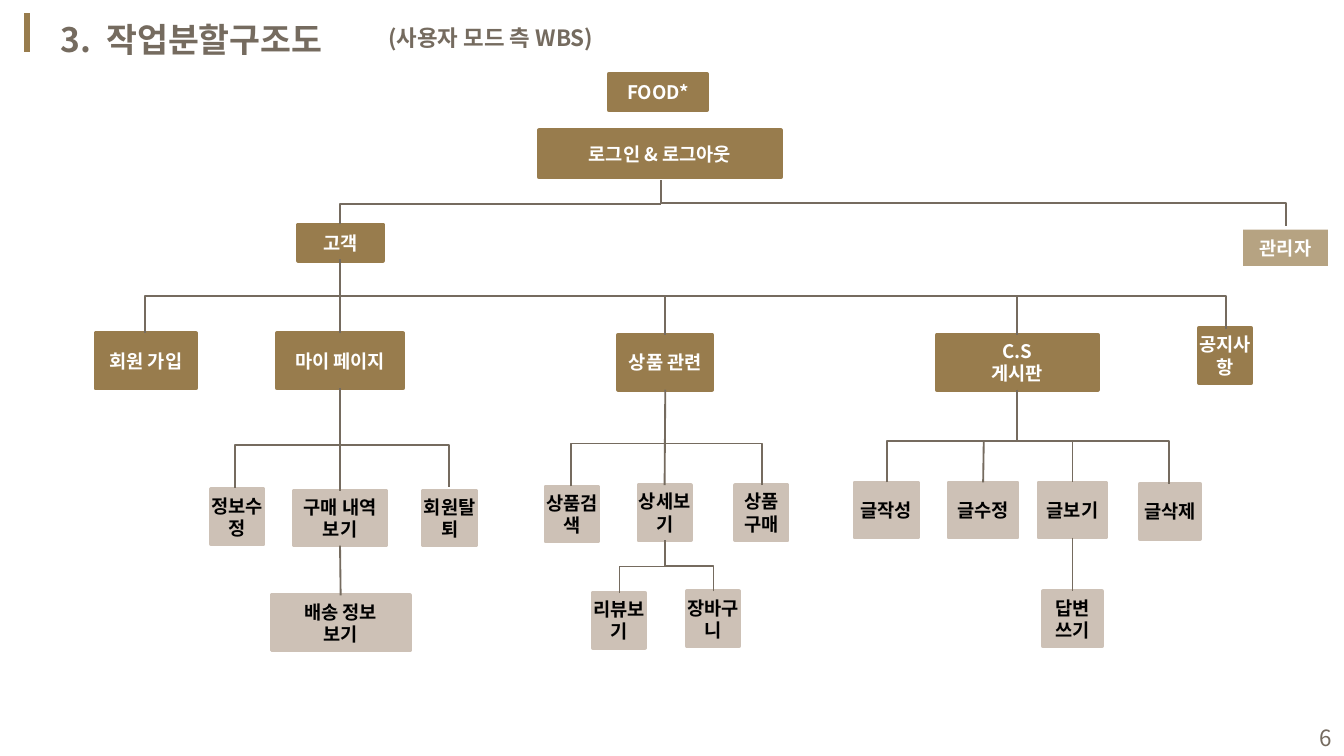
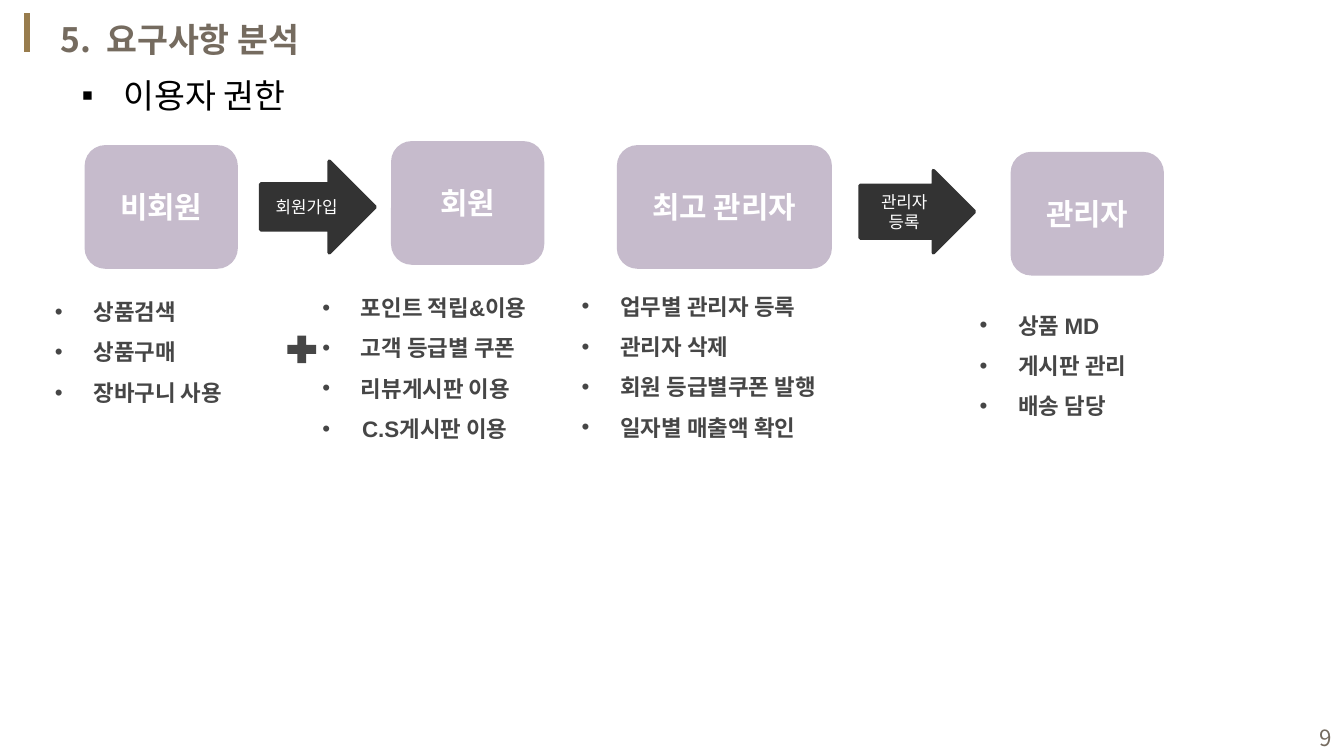
"""Builds a work breakdown tree slide and a user rights slide."""
from lxml import etree
from pptx import Presentation
from pptx import util as u
from pptx.dml import color
from pptx.enum import shapes, text
from pptx.oxml import ns


class Theme:
    gold, sand, lilac = "987C4D", "CDC1B6", "C6BBCC"
    taupe, dark, grey = "756B5F", "333333", "464646"
    white, black = "FFFFFF", "000000"
    sans, latin = "Noto Sans CJK KR", "Arial"
    title, role, body, node, small = 18, 16, 12, 10, 9


RGB = color.RGBColor.from_string
Kind = shapes.MSO_SHAPE
Wire = shapes.MSO_CONNECTOR
Side = text.PP_ALIGN


def put(page, at, words, size, ink, kind=None, fill=None, edge=False, inset=None,
        bold=True, face=Theme.sans, align=None, mark=None, hang=0, gap=None):
    at = [u.Inches(n) for n in at]
    if kind is None:
        box = page.shapes.add_textbox(*at)
    else:
        box = page.shapes.add_shape(kind, *at)
        box.shadow.inherit = False
        box.fill.solid()
        box.fill.fore_color.rgb = RGB(fill)
        if edge:
            box.line.color.rgb = RGB(fill)
            box.line.width = u.Pt(2)
        else:
            box.line.fill.background()
        align = Side.CENTER
    frame = box.text_frame
    frame.word_wrap = True
    if kind is None:
        frame.auto_size = text.MSO_AUTO_SIZE.SHAPE_TO_FIT_TEXT
    frame.vertical_anchor = text.MSO_ANCHOR.MIDDLE if kind else text.MSO_ANCHOR.TOP
    if inset is not None:
        frame.margin_left = frame.margin_right = u.Inches(inset)
        frame.margin_top = frame.margin_bottom = u.Inches(inset)
    for i, line in enumerate(words.split("\n") if words else []):
        para = frame.add_paragraph() if i else frame.paragraphs[0]
        para.alignment = align
        if gap:
            para.line_spacing = gap
        if mark:
            prop = para._p.get_or_add_pPr()
            prop.set("marL", str(u.Inches(0.31)))
            prop.set("indent", str(u.Inches(-hang)))
            etree.SubElement(prop, ns.qn("a:buFont")).set("typeface", Theme.latin)
            etree.SubElement(prop, ns.qn("a:buChar")).set("char", mark)
        run = para.add_run()
        run.text = line
        run.font.size = u.Pt(size)
        run.font.bold = bold
        run.font.name = face
        run.font.color.rgb = RGB(ink)
        look = run._r.get_or_add_rPr()
        look.set("kern", "0")
        etree.SubElement(look, ns.qn("a:ea")).set("typeface", Theme.sans)
    return box


def link(page, x1, y1, x2, y2, bend=None, ink=Theme.taupe, width=1):
    if bend:
        mx, my, dx, dy = (x1 + x2) / 2, (y1 + y2) / 2, (x2 - x1) / 2, (y2 - y1) / 2
        x1, y1, x2, y2 = mx - dy, my + dx, mx + dy, my - dx
    wire = page.shapes.add_connector(Wire.ELBOW if bend else Wire.STRAIGHT,
                                     *[u.Inches(n) for n in (x1, y1, x2, y2)])
    wire.line.color.rgb = RGB(ink)
    wire.line.width = u.Pt(width)
    prop = wire.element.spPr
    if bend:
        prop.find(ns.qn("a:xfrm")).set("rot", "5400000")
        prop.find(ns.qn("a:prstGeom")).set("prst", f"bentConnector{bend}")
    etree.SubElement(prop, ns.qn("a:effectLst"))
    return wire


deck = Presentation()
deck.slide_width = u.Inches(10)
deck.slide_height = u.Inches(10 * 9 / 16)

pages = []
for title, wide, number in [("3.  작업분할구조도", 3.21, "6"),
                            ("5.  요구사항 분석", 2.44, "9")]:
    page = deck.slides.add_slide(deck.slide_layouts[6])
    link(page, 0.2, 0.1, 0.2, 0.39, ink=Theme.gold, width=3)
    put(page, (0.35, 0.09, wide, 0.4), title, Theme.title, Theme.taupe)
    foot = put(page, (7.68, 5.34, 2.33, 0.3), number, Theme.body, Theme.taupe,
               bold=False, align=Side.RIGHT)
    foot.text_frame.auto_size = text.MSO_AUTO_SIZE.NONE
    foot.text_frame.vertical_anchor = text.MSO_ANCHOR.MIDDLE
    pages.append(page)
tree, rights = pages

put(tree, (2.79, 0.13, 1.81, 0.3), "(사용자 모드 측 WBS)", Theme.body, Theme.taupe)

heads = [
    ("FOOD*", 4.53, 0.55, 0.73, 0.27),
    ("로그인 & 로그아웃", 4.01, 0.97, 1.8, 0.35),
    ("고객", 2.22, 1.67, 0.63, 0.27),
    ("관리자", 9.25, 1.71, 0.63, 0.27),
    ("회원 가입", 0.71, 2.48, 0.75, 0.41),
    ("마이 페이지", 2.06, 2.48, 0.94, 0.41),
    ("상품 관련", 4.6, 2.49, 0.7, 0.41),
    ("C.S\n게시판", 6.97, 2.49, 1.2, 0.41),
    ("공지사항", 8.92, 2.44, 0.39, 0.41),
]
leaves = [
    ("정보수정", 1.57, 3.64, 0.39),
    ("구매 내역 보기", 2.19, 3.65, 0.68),
    ("회원탈퇴", 3.15, 3.65, 0.39),
    ("배송 정보\n보기", 2.02, 4.43, 1.03),
    ("상품검색", 4.06, 3.62, 0.39),
    ("상세보기", 4.75, 3.61, 0.39),
    ("상품\n구매", 5.47, 3.61, 0.39),
    ("리뷰보기", 4.41, 4.41, 0.39),
    ("장바구니", 5.11, 4.4, 0.39),
    ("글작성", 6.36, 3.59, 0.47),
    ("글수정", 7.06, 3.59, 0.51),
    ("글보기", 7.73, 3.59, 0.5),
    ("글삭제", 8.48, 3.6, 0.45),
    ("답변\n쓰기", 7.76, 4.4, 0.44),
]
nodes = {}
for name, *at in heads:
    nodes[name] = put(tree, at, name, Theme.node, Theme.white, Kind.RECTANGLE,
                      Theme.gold, edge=name != "관리자", inset=0)
for name, *at in leaves:
    nodes[name] = put(tree, (*at, 0.41), name, Theme.node, Theme.black,
                      Kind.RECTANGLE, Theme.sand, edge=True, inset=0)
tint = nodes["관리자"].element.spPr.find(".//" + ns.qn("a:srgbClr"))
etree.SubElement(tint, ns.qn("a:alpha")).set("val", "70000")

for x, top, base, upper, lower in [
    (2.53, 2.21, 2.48, None, "마이 페이지"),
    (4.95, 2.2, 2.49, None, "상품 관련"),
    (7.57, 2.21, 2.49, None, "C.S\n게시판"),
    (2.53, 2.89, 3.65, "마이 페이지", "구매 내역 보기"),
    (4.95, 2.9, 3.61, "상품 관련", "상세보기"),
    (7.57, 2.9, 3.28, "C.S\n게시판", None),
    (2.53, 4.06, 4.43, "구매 내역 보기", "배송 정보\n보기"),
    (7.32, 3.28, 3.59, None, "글수정"),
    (7.98, 3.28, 3.59, None, "글보기"),
    (7.98, 4, 4.4, "글보기", "답변\n쓰기"),
]:
    wire = link(tree, x, top, x, base)
    if upper:
        wire.begin_connect(nodes[upper], 2)
    if lower:
        wire.end_connect(nodes[lower], 0)

for bend, *ends in [
    (3, 2.53, 1.93, 1.08, 2.48),
    (3, 2.53, 1.96, 9.12, 2.45),
    (3, 4.92, 1.34, 9.57, 1.68),
    (2, 2.53, 1.67, 4.92, 1.52),
    (2, 1.75, 3.63, 2.67, 3.31),
    (2, 3.34, 3.62, 2.48, 3.31),
    (2, 4.25, 3.62, 5.16, 3.3),
    (2, 5.67, 3.61, 4.8, 3.3),
    (2, 6.6, 3.59, 8.23, 3.28),
    (2, 8.7, 3.6, 7.83, 3.28),
    (3, 4.61, 4.41, 4.95, 4.02),
    (3, 5.31, 4.4, 4.95, 4.02),
]:
    link(tree, *ends, bend=bend)

head = put(rights, (0.51, 0.51, 1.74, 0.4), "이용자 권한", Theme.title, Theme.black,
           bold=False, mark="▪", hang=0.31)
head.text_frame.word_wrap = False

for name, x, y, wide in [("비회원", 0.63, 1.08, 1.14), ("회원", 2.91, 1.05, 1.14),
                         ("최고 관리자", 4.59, 1.08, 1.6), ("관리자", 7.52, 1.13, 1.14)]:
    put(rights, (x, y, wide, 0.92), name, Theme.role, Theme.white,
        Kind.ROUNDED_RECTANGLE, Theme.lilac)

for name, x, y, tall, shaft in [("회원가입", 1.94, 1.2, 0.68, 0.5),
                                ("관리자 등록", 6.4, 1.27, 0.61, 0.64)]:
    arrow = put(rights, (x, y, 0.85, tall), name, Theme.small, Theme.white,
                Kind.RIGHT_ARROW, Theme.dark, edge=True, bold=False)
    arrow.adjustments[0] = shaft

put(rights, (2.1, 2.46, 0.29, 0.28), "", Theme.body, Theme.white,
    Kind.MATH_PLUS, Theme.grey)

for at, items in [
    ((0.25, 2.07, 1.9, 0.97), ("상품검색", "상품구매", "장바구니 사용")),
    ((2.24, 2.04, 2.03, 1.27),
     ("포인트 적립&이용", "고객 등급별 쿠폰", "리뷰게시판 이용", "C.S게시판 이용")),
    ((4.17, 2.03, 2.68, 1.27),
     ("업무별 관리자 등록", "관리자 삭제", "회원 등급별쿠폰 발행", "일자별 매출액 확인")),
    ((7.13, 2.17, 2.68, 1.01), ("상품 MD", "게시판 관리", "배송 담당")),
]:
    put(rights, at, "\n".join(" " + item for item in items), Theme.body, Theme.grey,
        face=Theme.latin, mark="•", hang=0.25, gap=1.5)

deck.save("out.pptx")
